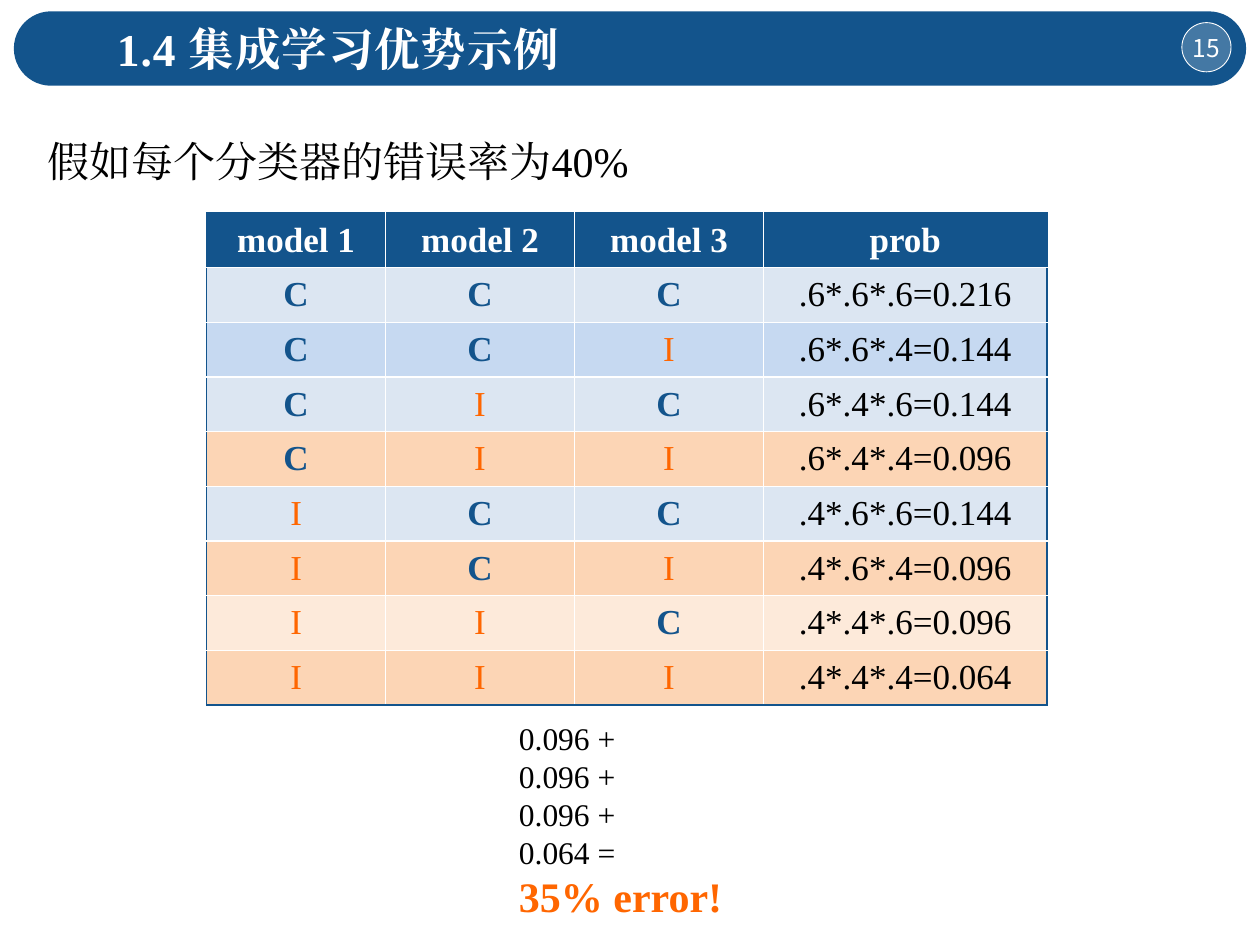
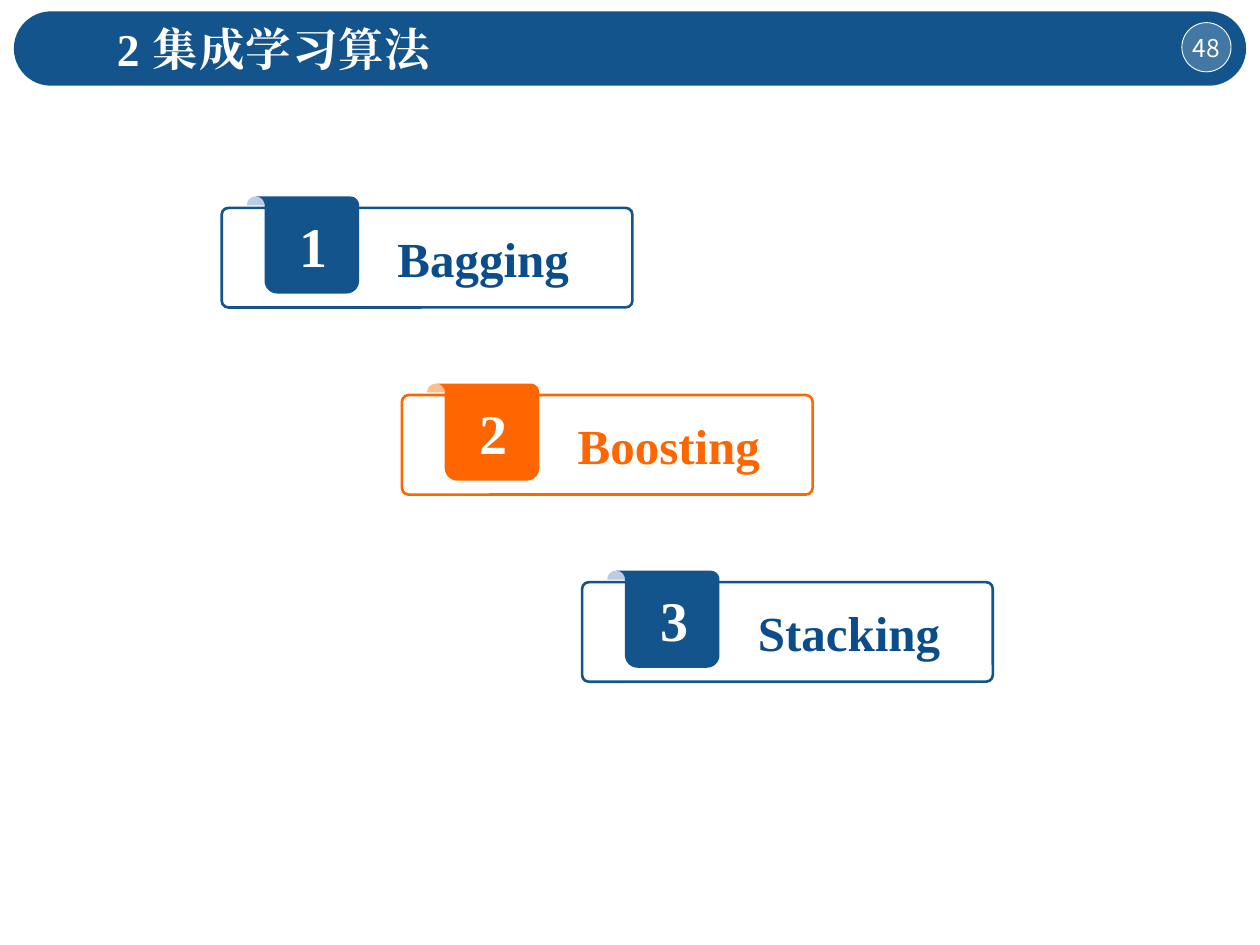
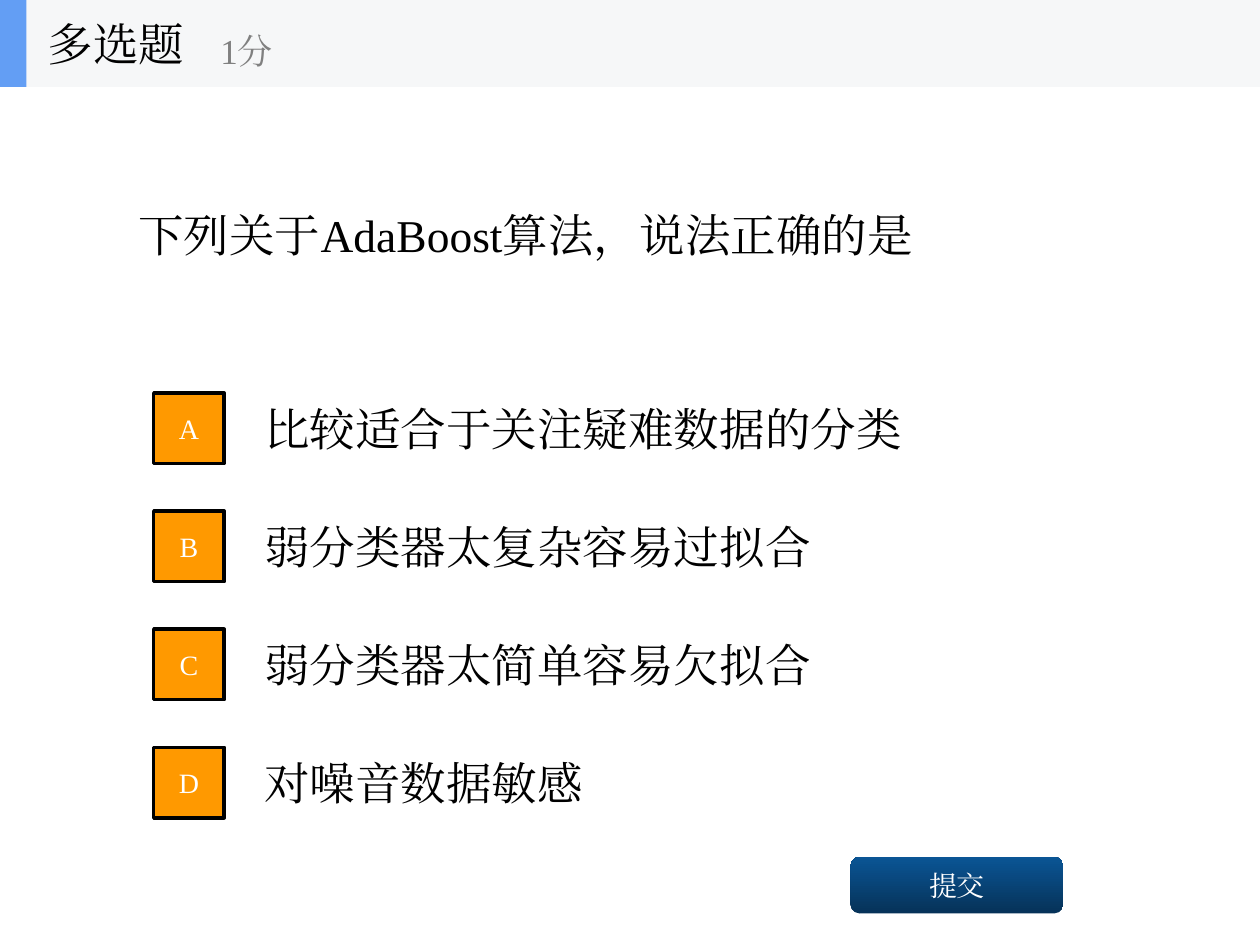
import itertools
import math

import lxml.etree
import pptx
import pptx.dml.color
import pptx.enum.shapes
import pptx.enum.text
import pptx.oxml.ns
import pptx.util

Inches, Pt = pptx.util.Inches, pptx.util.Pt
Kind = pptx.enum.shapes.MSO_SHAPE
Align, Anchor = pptx.enum.text.PP_ALIGN, pptx.enum.text.MSO_ANCHOR
qn = pptx.oxml.ns.qn

BLUE, ORANGE, WHITE, BLACK = "13548C", "FF6600", "FFFFFF", "000000"
SERIF, SANS = "Times New Roman", "Noto Sans CJK SC"


def tint(code):
    return pptx.dml.color.RGBColor.from_string(code)


def arc(x, y, r, start, stop, steps=12):
    angles = [math.radians(start + (stop - start) * i / steps) for i in range(steps + 1)]
    return [(x + r * math.cos(a), y + r * math.sin(a)) for a in angles]


class Deck:
    """Holds the shared style and the slide being filled."""

    def __init__(self):
        self.show = pptx.Presentation()
        self.show.slide_width, self.show.slide_height = Inches(10), Inches(7.5)
        self.slide = None

    def start(self):
        self.slide = self.show.slides.add_slide(self.show.slide_layouts[6])

    def style(self, para, size, color=BLACK, bold=False, font=SERIF, track=0):
        for run in para.runs:
            run.font.size, run.font.bold, run.font.name = Pt(size), bold, font
            run.font.color.rgb = tint(color)
            props = run.font._element
            lxml.etree.SubElement(props, qn("a:ea")).set("typeface", font)
            if track:
                props.set("spc", str(int(track * 100)))

    def put(self, frame, text, size, color=BLACK, anchor=Anchor.MIDDLE,
            align=Align.LEFT, inset=(0.1, 0.05, 0.1, 0.05), **look):
        frame.word_wrap, frame.vertical_anchor = True, anchor
        (frame.margin_left, frame.margin_top,
         frame.margin_right, frame.margin_bottom) = map(Inches, inset)
        frame.text = text
        for para in frame.paragraphs:
            para.alignment = align
            self.style(para, size, color, **look)

    def text(self, box, text, size, color=BLACK, **look):
        frame = self.slide.shapes.add_textbox(*map(Inches, box)).text_frame
        self.put(frame, text, size, color, **look)
        return frame

    def paint(self, shape, fill, line=None, width=1, alpha=None):
        shape.shadow.inherit = False
        shape.fill.solid()
        shape.fill.fore_color.rgb = tint(fill)
        if alpha:
            color = shape._element.spPr.find(".//" + qn("a:srgbClr"))
            lxml.etree.SubElement(color, qn("a:alpha")).set("val", str(alpha * 1000))
        if line:
            shape.line.color.rgb = tint(line)
            shape.line.width = Pt(width)
        else:
            shape.line.fill.background()
        return shape

    def shape(self, kind, box, fill, round=None, **look):
        shape = self.slide.shapes.add_shape(kind, *map(Inches, box))
        if round is not None:
            shape.adjustments[0] = round
        return self.paint(shape, fill, **look)

    def free(self, x, y, points, fill):
        spots = [(Inches(x + dx), Inches(y + dy)) for dx, dy in points]
        pen = self.slide.shapes.build_freeform(*spots[0])
        pen.add_line_segments(spots[1:], close=True)
        return self.paint(pen.convert_to_shape(), fill)

    def banner(self, title, page):
        self.shape(Kind.ROUNDED_RECTANGLE, (0.11, 0.09, 9.78, 0.59), BLUE, round=0.5)
        badge = self.shape(Kind.OVAL, (9.38, 0.18, 0.39, 0.39), WHITE,
                           line=WHITE, width=0.5, alpha=21)
        self.put(badge.text_frame, page, 14, WHITE, align=Align.CENTER,
                 inset=(0, 0, 0, 0), font=SANS)
        self.text((0.83, 0.12, 7.42, 0.54), title, 26, WHITE,
                  anchor=Anchor.TOP, bold=True, track=0.5)

    def edges(self, cell, colors):
        props = cell._tc.get_or_add_tcPr()
        for spot, (side, color) in enumerate(zip("LRTB", colors)):
            line = lxml.etree.Element(qn("a:ln" + side), w=str(Pt(1)))
            fill = lxml.etree.SubElement(line, qn("a:solidFill"))
            lxml.etree.SubElement(fill, qn("a:srgbClr")).set("val", color)
            props.insert(spot, line)

    def table(self, box, widths, rows, look):
        high, wide = len(rows), len(widths)
        grid = self.slide.shapes.add_table(high, wide, *map(Inches, box)).table
        for col, width in zip(grid.columns, widths):
            col.width = Inches(width)
        for r, c in itertools.product(range(high), range(wide)):
            cell = grid.cell(r, c)
            fill, color, bold = look(r, c, rows[r])
            cell.fill.solid()
            cell.fill.fore_color.rgb = tint(fill)
            cell.vertical_anchor = Anchor.MIDDLE
            cell.text = rows[r][c]
            para = cell.text_frame.paragraphs[0]
            para.alignment = Align.CENTER
            self.style(para, 20, color, bold)
            outer = (c == 0, c == wide - 1, r == 0, r == high - 1)
            self.edges(cell, [BLUE if edge else WHITE for edge in outer])

    def card(self, x, y, mark, name, color, ink, curl):
        frame = self.shape(Kind.ROUNDED_RECTANGLE, (x, y, 3.26, 0.79), WHITE,
                           round=0.067, line=color, width=1.5, alpha=75)
        self.put(frame.text_frame, name, 28, ink, bold=True,
                 inset=(1.38, 0.05, 0.1, 0.05))
        top = y - 0.09
        self.free(x + 0.2, top, arc(0.07, 0.07, 0.07, 180, 360), curl)
        outline = [(0, 0), *arc(0.75, 0.07, 0.07, -90, 0), *arc(0.72, 0.67, 0.1, 0, 90),
                   *arc(0.17, 0.67, 0.1, 90, 180), *arc(0, 0.07, 0.07, 0, -90)]
        tab = self.free(x + 0.27, top, outline, color)
        self.put(tab.text_frame, mark, 32, WHITE, bold=True, align=Align.CENTER,
                 inset=(0.2, 0.05, 0.1, 0.05))

    def button(self, box, label):
        shape = self.shape(Kind.ROUNDED_RECTANGLE, box, BLUE)
        shape.fill.gradient()
        shape.fill.gradient_angle = 90
        for stop, color in zip(shape.fill.gradient_stops, ("063258", "0A5595")):
            stop.color.rgb = tint(color)
        self.put(shape.text_frame, label, 16, WHITE, align=Align.CENTER)


def look(r, c, row):
    if r == 0:
        return BLUE, WHITE, True
    wrong = row[:3].count("I") > 1
    fill = (("C6D9F1", "DCE6F2"), ("FCD5B5", "FDEADA"))[wrong][r % 2]
    color = {"C": BLUE, "I": ORANGE}.get(row[c], BLACK)
    return fill, color, row[c] == "C"


def odds(deck):
    deck.start()
    deck.banner("1.4 集成学习优势示例", "15")
    lead = deck.text((0.28, 0.83, 8.62, 0.64), "假如每个分类器的错误率为40%", 24,
                     anchor=Anchor.TOP)
    lead.paragraphs[0].line_spacing = 1.5
    rows = [["model 1", "model 2", "model 3", "prob"]]
    for votes in itertools.product("CI", repeat=3):
        digits = [6 if vote == "C" else 4 for vote in votes]
        terms = "*".join(f".{digit}" for digit in digits)
        rows.append([*votes, f"{terms}={math.prod(digits) / 1000:.3f}"])
    deck.table((1.64, 1.69, 6.67, 3.9), (1.42, 1.5, 1.5, 2.25), rows, look)
    total = deck.text((4.02, 5.66, 1.91, 1.72),
                      "0.096 +\n0.096 +\n0.096 +\n0.064 =\n35% error!", 18,
                      anchor=Anchor.TOP)
    font = total.paragraphs[-1].runs[0].font
    font.size, font.bold, font.color.rgb = Pt(24), True, tint(ORANGE)


def methods(deck):
    deck.start()
    deck.banner("2 集成学习算法", "48")
    cool, warm = (BLUE, "0B4D8A", "B9CDE5"), (ORANGE, ORANGE, "FAC090")
    cards = (("Bagging", cool), ("Boosting", warm), ("Stacking", cool))
    for i, (name, colors) in enumerate(cards):
        deck.card(1.76 + 1.43 * i, 1.65 + 1.485 * i, str(i + 1), name, *colors)


def quiz(deck):
    deck.start()
    deck.text((1, 0.69, 8, 2.34), "下列关于AdaBoost算法，说法正确的是", 26)
    options = ("比较适合于关注疑难数据的分类", "弱分类器太复杂容易过拟合",
               "弱分类器太简单容易欠拟合", "对噪音数据敏感")
    for i, (mark, option) in enumerate(zip("ABCD", options)):
        top = 3.05 + 0.937 * i
        deck.text((2, top, 7, 0.7), option, 26)
        box = deck.shape(Kind.RECTANGLE, (1.22, top + 0.07, 0.56, 0.56), "FF9900",
                         line=BLACK, width=2)
        deck.put(box.text_frame, mark, 16, WHITE, align=Align.CENTER)
    deck.button((6.75, 6.8, 1.69, 0.45), "提交")
    deck.shape(Kind.RECTANGLE, (0, 0, 10, 0.69), "F6F7F8")
    deck.shape(Kind.RECTANGLE, (0, 0, 0.21, 0.69), "639EF4")
    deck.text((0.28, 0, 2.08, 0.69), "多选题", 26)
    deck.text((1.65, 0.12, 2.5, 0.56), "1分", 20, "808080")


def main():
    deck = Deck()
    odds(deck)
    methods(deck)
    quiz(deck)
    deck.show.save("out.pptx")


if __name__ == "__main__":
    main()
